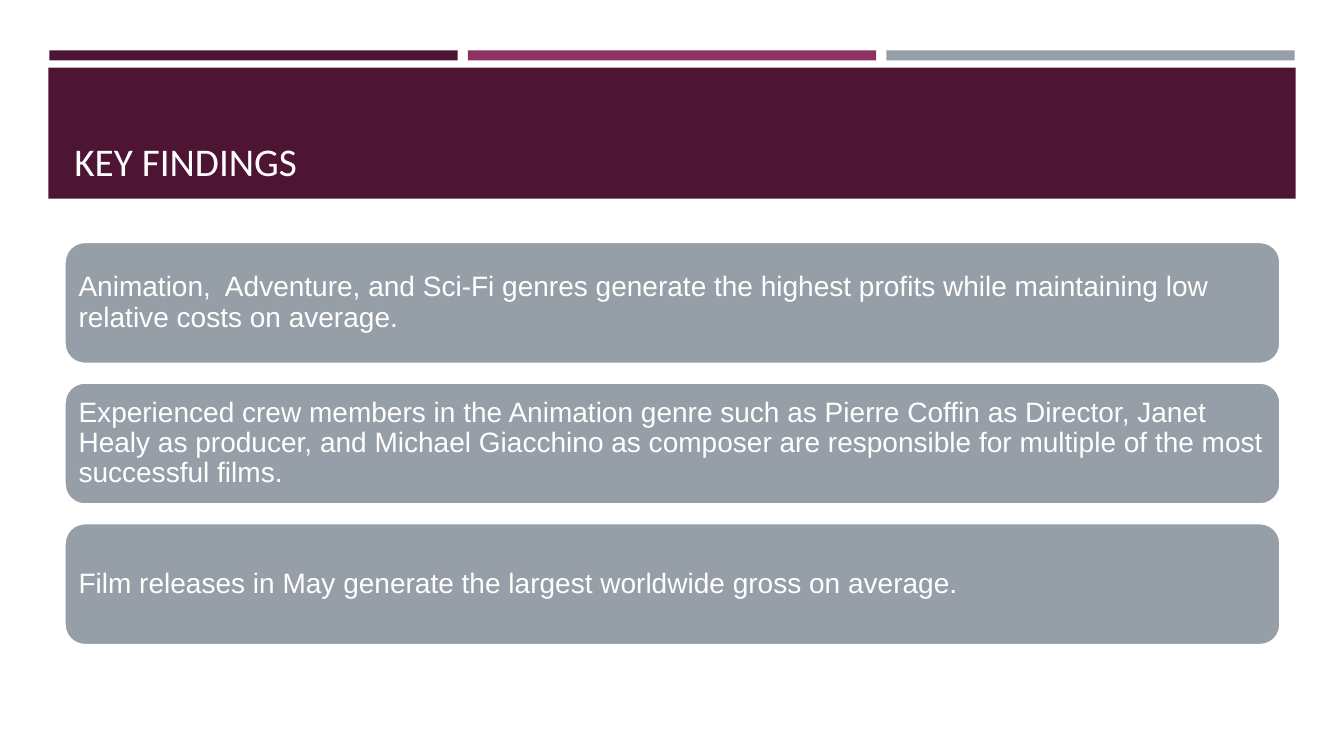
from pptx import Presentation
from pptx.dml.color import RGBColor
from pptx.enum.shapes import MSO_SHAPE
from pptx.enum.text import MSO_ANCHOR, PP_ALIGN
from pptx.util import Inches, Pt

RECTANGLE = MSO_SHAPE.RECTANGLE
ROUNDED = MSO_SHAPE.ROUNDED_RECTANGLE
MIDDLE, BOTTOM = MSO_ANCHOR.MIDDLE, MSO_ANCHOR.BOTTOM
LEFT = PP_ALIGN.LEFT

COLORS = {
    "plum": "4D1434",
    "magenta": "903163",
    "gray": "969FA7",
    "white": "FFFFFF",
    "title": "FFFEFF",
}
FINDINGS = [
    "Animation,  Adventure, and Sci-Fi genres generate the highest profits "
    "while maintaining low relative costs on average.",
    "Experienced crew members in the Animation genre such as Pierre Coffin "
    "as Director, Janet Healy as producer, and Michael Giacchino as composer "
    "are responsible for multiple of the most successful films.",
    "Film releases in May generate the largest worldwide gross on average.",
]


def color(name):
    return RGBColor.from_string(COLORS[name])


def add_block(page, kind, left, top, width, height, fill):
    block = page.shapes.add_shape(
        kind, Inches(left), Inches(top), Inches(width), Inches(height))
    block.shadow.inherit = False
    block.fill.solid()
    block.fill.fore_color.rgb = color(fill)
    block.line.fill.background()
    return block


def write(box, text, font, size, tint, anchor, side, edge):
    """Fill a shape with one left-aligned run; side and edge are insets."""
    frame = box.text_frame
    frame.word_wrap = True
    frame.vertical_anchor = anchor
    frame.margin_left = frame.margin_right = Inches(side)
    frame.margin_top = frame.margin_bottom = Inches(edge)
    para = frame.paragraphs[0]
    para.alignment = LEFT
    para.line_spacing = 0.9
    span = para.add_run()
    span.text = text
    span.font.name = font
    span.font.size = Pt(size)
    span.font.color.rgb = color(tint)


def add_header(page, title):
    for column, fill in enumerate(("plum", "magenta", "gray")):
        add_block(page, RECTANGLE, 0.49 + 4.15 * column, 0.5, 4.05, 0.1, fill)
    add_block(page, RECTANGLE, 0.48, 0.67, 12.37, 1.3, "plum")
    box = page.shapes.add_textbox(
        Inches(0.64), Inches(0.77), Inches(12.06), Inches(1.11))
    write(box, title, "Calibri", 28, "title", BOTTOM, 0.1, 0.05)


def add_finding(page, row, text):
    card = add_block(page, ROUNDED, 0.64, 2.4 + 1.395 * row, 12.06, 1.21, "gray")
    card.line.color.rgb = color("white")
    card.line.width = Pt(1.75)
    write(card, text, "Arial", 20, "white", MIDDLE, 0.08, 0.08)


def main():
    deck = Presentation()
    deck.slide_width, deck.slide_height = Inches(13.33), Inches(7.5)
    page = deck.slides.add_slide(deck.slide_layouts[6])
    add_header(page, "KEY FINDINGS")
    for row, text in enumerate(FINDINGS):
        add_finding(page, row, text)
    deck.save("out.pptx")


if __name__ == "__main__":
    main()
